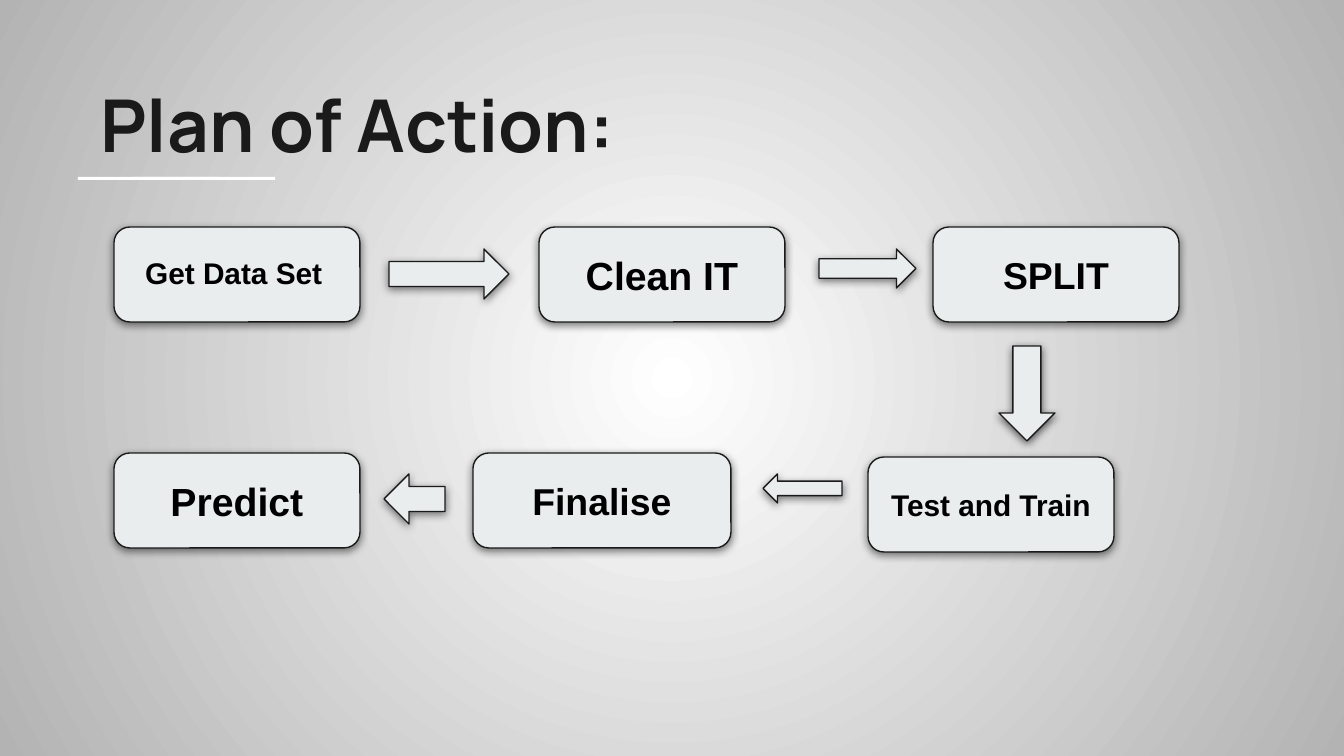
"""Build the "Plan of Action" flow slide."""
from lxml.etree import SubElement
from pptx import Presentation
from pptx.dml.color import RGBColor
from pptx.enum.shapes import MSO_SHAPE as SHAPE
from pptx.enum.text import MSO_ANCHOR as ANCHOR, PP_ALIGN as ALIGN
from pptx.oxml.ns import qn
from pptx.util import Inches, Pt

PX = Inches(10) / 1344
INK, PALE, WHITE, GREY, BLACK = "1A1A1A", "E9EDEE", "FFFFFF", "B3B3B3", "000000"

TITLE = ("Plan of Action:", (87, 66, 1130, 223))
UNDERLINE_LEFTS = (78, 133)
FIRST_STEP = ("Get Data Set", 16, (132, 241, 211, 63))
TOP_ROW, BOTTOM_ROW, STEP_WIDTH, STEP_HEIGHT = 227, 453, 246, 95
STEPS = [
    ("", 16, 114, TOP_ROW, STEP_WIDTH),
    ("Clean IT", 21, 539, TOP_ROW, STEP_WIDTH),
    ("SPLIT", 20, 933, TOP_ROW, STEP_WIDTH),
    ("Test and Train", 16, 868, 457, STEP_WIDTH),
    ("Finalise", 20, 473, BOTTOM_ROW, 258),
    ("Predict", 21, 114, BOTTOM_ROW, STEP_WIDTH),
]
ARROWS = [
    (SHAPE.RIGHT_ARROW, (389, 249, 120, 50), 50),
    (SHAPE.RIGHT_ARROW, (819, 249, 97, 39), 50),
    (SHAPE.DOWN_ARROW, (999, 346, 56, 95), 60),
    (SHAPE.LEFT_ARROW, (763, 474, 79, 29), 50),
    (SHAPE.LEFT_ARROW, (384, 474, 61, 50), 50),
]


def color(value):
    return RGBColor.from_string(value)


def place(box):
    return [round(length * PX) for length in box]


def paint_background(slide):
    fill = slide.background.fill
    fill.gradient()
    for stop, shade in zip(fill.gradient_stops, (WHITE, GREY)):
        stop.color.rgb = color(shade)
    gradient = next(slide.element.iter(qn("a:gradFill")))
    gradient.remove(gradient.find(qn("a:lin")))
    circle = SubElement(gradient, qn("a:path"), {"path": "circle"})
    SubElement(circle, qn("a:fillToRect"), dict.fromkeys("ltrb", "50000"))


def add_block(slide, kind, box, fill=PALE):
    block = slide.shapes.add_shape(kind, *place(box))
    block.shadow.inherit = False
    block.fill.solid()
    block.fill.fore_color.rgb = color(fill)
    block.line.fill.background()
    return block


def add_raised(slide, kind, box, opacity=50):
    raised = add_block(slide, kind, box)
    raised.line.color.rgb = color(INK)
    raised.line.width = Pt(0.75)
    shadow = SubElement(raised.element.spPr.find(qn("a:effectLst")), qn("a:outerShdw"), {
        "blurRad": str(Pt(4.5)), "dist": str(Pt(1.5)), "dir": "5400000",
        "algn": "bl", "rotWithShape": "0"})
    tint = SubElement(shadow, qn("a:srgbClr"), {"val": BLACK})
    SubElement(tint, qn("a:alpha"), {"val": str(opacity * 1000)})
    return raised


def write(shape, words, size, font="Arial", shade=BLACK, align=ALIGN.CENTER, anchor=ANCHOR.MIDDLE):
    frame = shape.text_frame
    frame.word_wrap = True
    frame.vertical_anchor = anchor
    frame.margin_left = frame.margin_right = frame.margin_top = frame.margin_bottom = Inches(0.1)
    frame.text = words
    line = frame.paragraphs[0]
    line.alignment = align
    line.font.name, line.font.size, line.font.bold = font, Pt(size), True
    line.font.color.rgb = color(shade)


def main():
    deck = Presentation()
    deck.slide_width, deck.slide_height = place((1344, 756))
    slide = deck.slides.add_slide(deck.slide_layouts[5])
    paint_background(slide)

    words, box = TITLE
    title = slide.shapes.title
    title.left, title.top, title.width, title.height = place(box)
    write(title, words, 39, "Manrope", INK, ALIGN.LEFT, ANCHOR.TOP)
    for left in UNDERLINE_LEFTS:
        add_block(slide, SHAPE.RECTANGLE, (left, 177, 142, 3), WHITE)

    for words, size, left, top, width in STEPS:
        step = add_raised(slide, SHAPE.ROUNDED_RECTANGLE, (left, top, width, STEP_HEIGHT))
        if words:
            write(step, words, size)
    words, size, box = FIRST_STEP
    write(slide.shapes.add_textbox(*place(box)), words, size, align=ALIGN.LEFT, anchor=ANCHOR.TOP)
    for kind, box, opacity in ARROWS:
        add_raised(slide, kind, box, opacity)

    deck.save("out.pptx")


if __name__ == "__main__":
    main()
